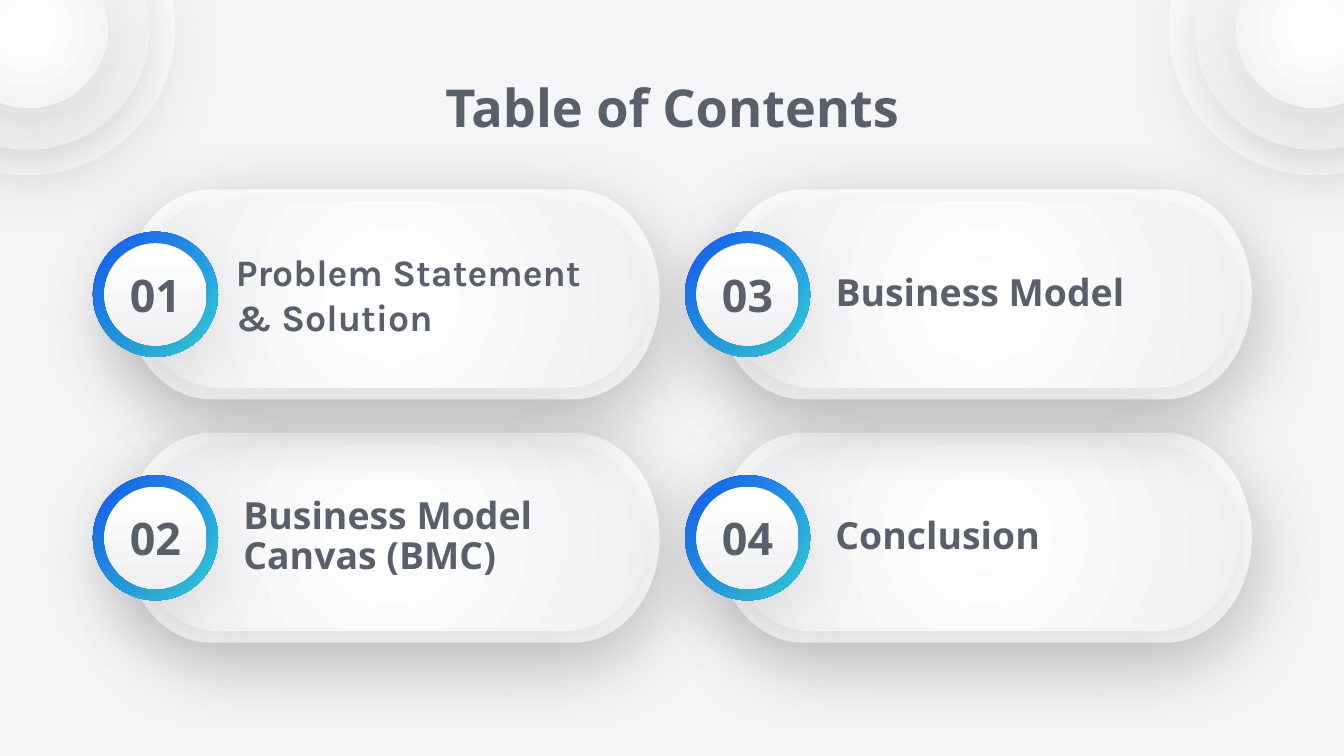
from lxml import etree
from pptx import Presentation
from pptx.dml.color import RGBColor
from pptx.enum.shapes import MSO_SHAPE
from pptx.enum.text import MSO_ANCHOR, PP_ALIGN
from pptx.oxml import parse_xml
from pptx.util import Pt

TITLE = "Table of Contents"
# number, column, row, label, label indent, label width, label height, format
ITEMS = [
    ("01", 0, 0, "Problem Statement & Solution", 52.5, 199.4, 62.6,
     dict(font="Karla", anchor=MSO_ANCHOR.TOP, gap=1.0)),
    ("02", 0, 1, "Business Model Canvas (BMC)", 56.5, 199.4, 48.2, {}),
    ("03", 1, 0, "Business Model", 56.5, 179.3, 61.2, {}),
    ("04", 1, 1, "Conclusion", 56.5, 199.4, 29.5, {}),
]
THEME = dict(
    back="F5F5F8", white="FFFFFF", ink="595F6B", font="Noto Sans",
    title=28, number=24, label=20,
    soft=("FFFFFF", "F0F0F3"), vivid=("1658F1", "36DBE0"),
)
WIDE, HIGH = 720, 405
LEFT, TOP, STEP_X, STEP_Y = 66.8, 101.5, 317.2, 130.4
PILL_W, PILL_H, RIM = 286.6, 112.4, 6.3
BADGE, RING = 67, 6.1
RINGS = [(157, False), (129.6, True), (85, True)]
CORNER_X, CORNER_Y = 15.4, 15.4
NS = "http://schemas.openxmlformats.org/drawingml/2006/main"


def blend(shape, colors, angle=None):
    """Fill with a two-colour gradient; radial when no angle is given."""
    stops = "".join(
        f'<a:gs pos="{pos}"><a:srgbClr val="{color}"/></a:gs>'
        for pos, color in zip((0, 100000), colors))
    if angle is None:
        mode = ('<a:path path="circle"><a:fillToRect l="50000" t="50000" '
                'r="50000" b="50000"/></a:path>')
    else:
        mode = f'<a:lin ang="{angle * 60000}" scaled="0"/>'
    grad = parse_xml(f'<a:gradFill xmlns:a="{NS}" rotWithShape="1">'
                     f'<a:gsLst>{stops}</a:gsLst>{mode}</a:gradFill>')
    shape.fill.background()
    props = shape._element.spPr
    props.replace(props.find(f"{{{NS}}}noFill"), grad)


def shade(shape):
    """Add the wide, faint shadow that falls below a shape."""
    effects = shape._element.spPr.find(f"{{{NS}}}effectLst")
    outer = etree.SubElement(
        effects, f"{{{NS}}}outerShdw", blurRad=str(Pt(45)),
        dist=str(Pt(11.25)), dir=str(85 * 60000), algn="bl", rotWithShape="0")
    color = etree.SubElement(outer, f"{{{NS}}}srgbClr", val="000000")
    etree.SubElement(color, f"{{{NS}}}alpha", val="15000")


def draw(kind, x, y, w, h, colors=None, angle=None, shadow=True):
    shape = slide.shapes.add_shape(kind, Pt(x), Pt(y), Pt(w), Pt(h))
    shape.shadow.inherit = False
    shape.line.fill.background()
    if colors:
        blend(shape, colors, angle)
    else:
        shape.fill.solid()
        shape.fill.fore_color.rgb = RGBColor.from_string(THEME["white"])
    if shadow:
        shade(shape)


def write(text, x, y, w, h, size, font=THEME["font"], align=PP_ALIGN.LEFT,
          anchor=MSO_ANCHOR.MIDDLE, gap=0.9):
    frame = slide.shapes.add_textbox(Pt(x), Pt(y), Pt(w), Pt(h)).text_frame
    frame.word_wrap = True
    frame.vertical_anchor = anchor
    frame.margin_left = frame.margin_right = Pt(7.2)
    frame.margin_top = frame.margin_bottom = Pt(7.2)
    para = frame.paragraphs[0]
    para.alignment = align
    para.line_spacing = gap
    run = para.add_run()
    run.text = text
    run.font.size = Pt(size)
    run.font.name = font
    run.font.bold = True
    run.font.color.rgb = RGBColor.from_string(THEME["ink"])


def spot(col, row):
    return LEFT + col * STEP_X, TOP + row * STEP_Y


def corner(mid):
    for size, soft in RINGS:
        draw(MSO_SHAPE.OVAL, mid - size / 2, CORNER_Y - size / 2, size, size,
             THEME["soft"] if soft else None, shadow=soft)


def pill(x, y):
    kind = MSO_SHAPE.FLOWCHART_TERMINATOR
    draw(kind, x, y, PILL_W, PILL_H)
    draw(kind, x + RIM, y + RIM, PILL_W - 2 * RIM, PILL_H - 2 * RIM,
         THEME["soft"])


def badge(number, x, mid):
    y = mid - BADGE / 2
    core = BADGE - 2 * RING
    draw(MSO_SHAPE.OVAL, x, y, BADGE, BADGE, THEME["vivid"], 45, shadow=False)
    draw(MSO_SHAPE.OVAL, x + RING, y + RING, core, core, THEME["soft"], 90)
    write(number, x, mid - 21, BADGE, 42, THEME["number"],
          align=PP_ALIGN.CENTER, gap=1.0)


deck = Presentation()
deck.slide_width, deck.slide_height = Pt(WIDE), Pt(HIGH)
slide = deck.slides.add_slide(deck.slide_layouts[6])
slide.background.fill.solid()
slide.background.fill.fore_color.rgb = RGBColor.from_string(THEME["back"])

for mid in (CORNER_X, WIDE - CORNER_X):
    corner(mid)
for _, col, row, *_ in sorted(ITEMS, key=lambda item: (-item[2], -item[1])):
    pill(*spot(col, row))
for number, col, row, label, indent, w, h, form in ITEMS:
    x, y = spot(col, row)
    mid = y + PILL_H / 2
    badge(number, x - 17, mid)
    write(label, x + indent, mid - h / 2, w, h, THEME["label"], **form)
write(TITLE, 56.2, 42.5, 607.6, 29.5, THEME["title"],
      align=PP_ALIGN.CENTER, gap=1.0)

deck.save("out.pptx")
